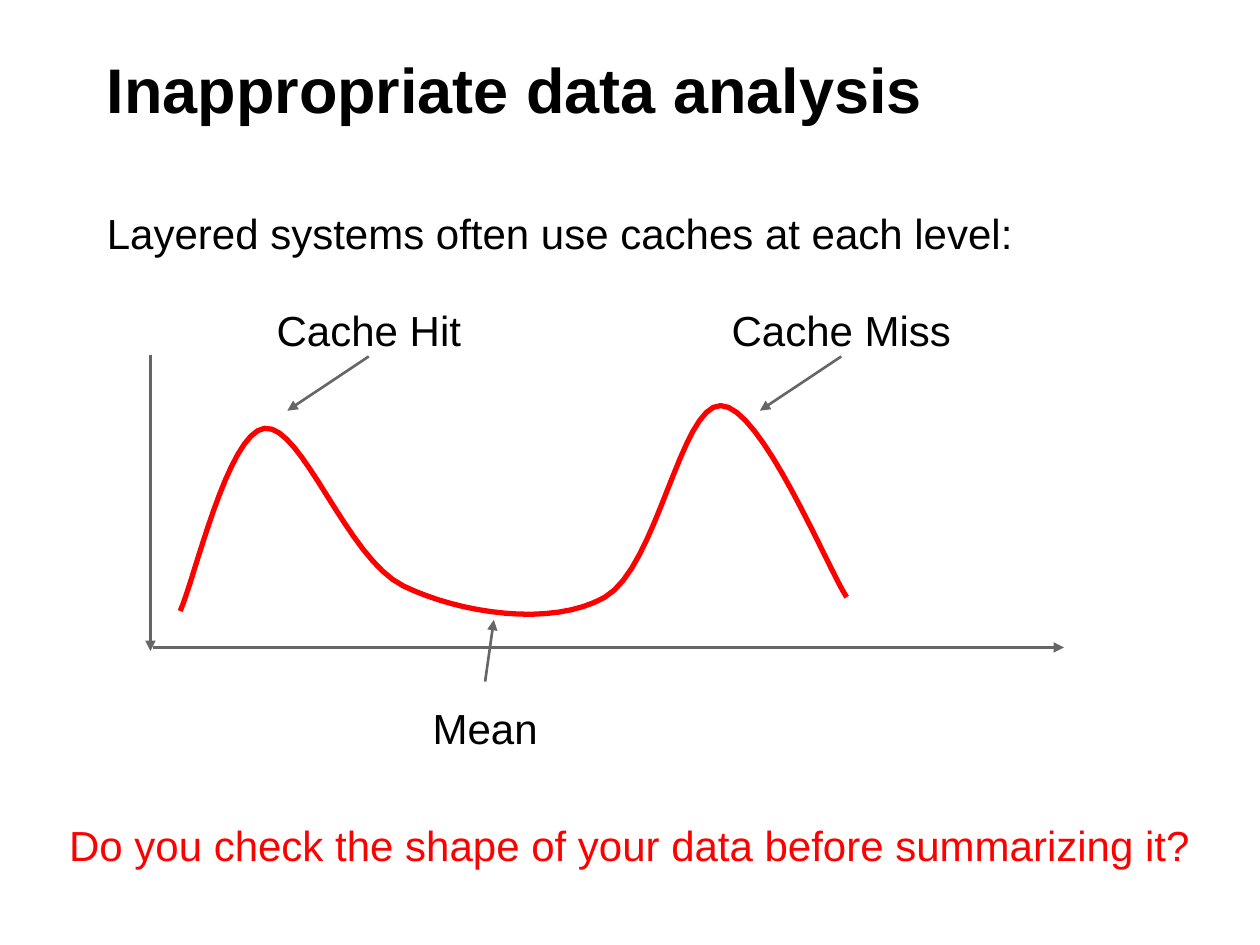
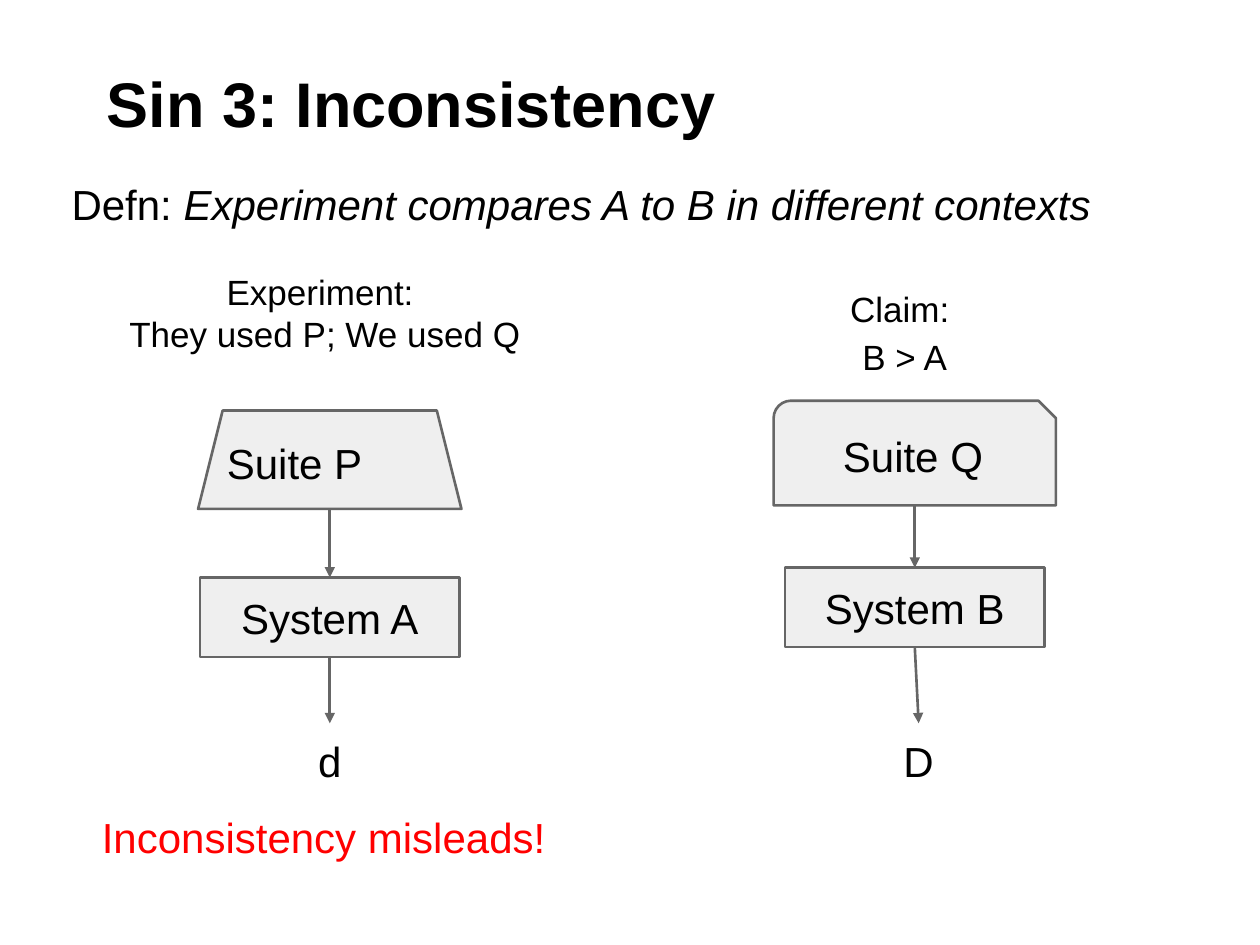
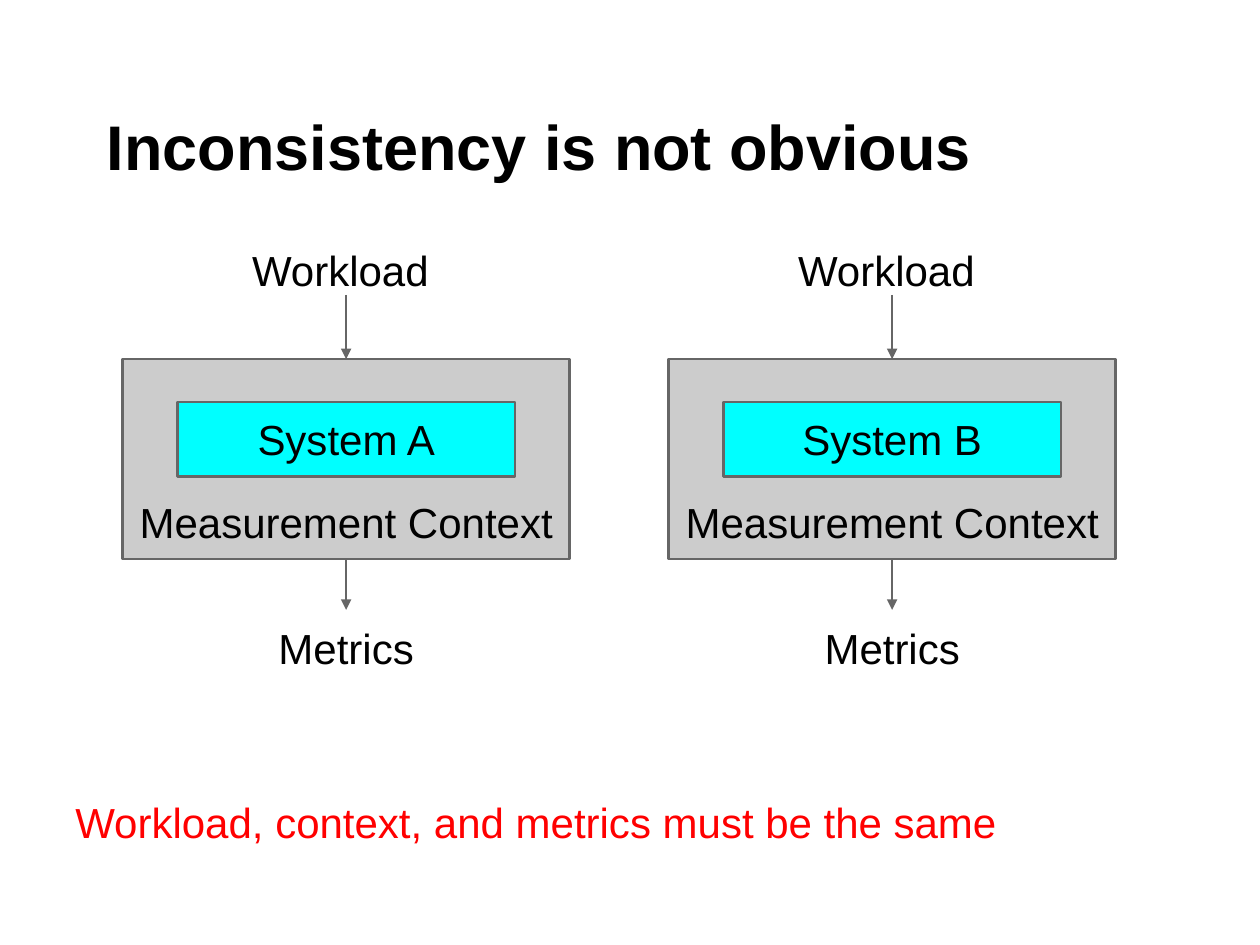
import pptx
import pptx.util
import pptx.dml.color
import pptx.enum.shapes
import pptx.enum.text
import pptx.oxml.ns
import lxml.etree

Pt = pptx.util.Pt
Kind = pptx.enum.shapes.MSO_SHAPE
Side = pptx.enum.text.PP_ALIGN
Hold = pptx.enum.text.MSO_ANCHOR
LEFT, MID = Side.LEFT, Side.CENTER


class Theme:
    font = "Arial"
    ink, alert, edge = "000000", "FF0000", "666666"
    pale, gray, cyan = "EFEFEF", "CCCCCC", "00FFFF"
    head, body, note = 36, 24, 20
    inset, line, curve = 7.2, 1.5, 3


def tint(code):
    return pptx.dml.color.RGBColor.from_string(code)


def write(shape, words, size=Theme.body, color=Theme.ink, align=MID,
          anchor=Hold.TOP):
    """Put one paragraph in a shape and return it."""
    frame = shape.text_frame
    frame.word_wrap = True
    frame.vertical_anchor = anchor
    frame.margin_left = frame.margin_right = Pt(Theme.inset)
    frame.margin_top = frame.margin_bottom = Pt(Theme.inset)
    para = frame.paragraphs[0]
    para.text = words
    para.alignment = align
    para.font.name, para.font.size = Theme.font, Pt(size)
    para.font.color.rgb = tint(color)
    return para


def label(slide, box, words, **style):
    shape = slide.shapes.add_textbox(*map(Pt, box))
    write(shape, words, **style)
    return shape


def block(slide, kind, box, fill, words, align=MID, anchor=Hold.MIDDLE):
    shape = slide.shapes.add_shape(kind, *map(Pt, box))
    shape.shadow.inherit = False
    shape.fill.solid()
    shape.fill.fore_color.rgb = tint(fill)
    shape.line.color.rgb = tint(Theme.edge)
    shape.line.width = Pt(Theme.line)
    write(shape, words, align=align, anchor=anchor)
    return shape


def arrow(slide, start=(0, 0), end=(0, 0), source=None, target=None):
    """Draw an arrow between points, or from a base to a top side."""
    line = slide.shapes.add_connector(
        pptx.enum.shapes.MSO_CONNECTOR.STRAIGHT, *map(Pt, (*start, *end)))
    if source is not None:
        line.begin_connect(source, 2)
    if target is not None:
        line.end_connect(target, 0)
    line.line.color.rgb = tint(Theme.edge)
    line.line.width = Pt(Theme.line)
    name = pptx.oxml.ns.qn
    lxml.etree.SubElement(line.line._get_or_add_ln(), name("a:tailEnd"),
                          type="triangle")
    lxml.etree.SubElement(line._element.spPr, name("a:effectLst"))


def page(deck, title, height):
    """Add a blank slide with the shared title style."""
    slide = deck.slides.add_slide(deck.slide_layouts[6])
    shape = label(slide, (36, 21.6, 648, height), title, size=Theme.head,
                  align=LEFT, anchor=Hold.BOTTOM)
    para = shape.text_frame.paragraphs[0]
    para.font.bold = True
    para._p.get_or_add_pPr().set("indent", str(Pt(18)))
    return slide


def moral(slide, box, words):
    label(slide, box, words, color=Theme.alert, align=LEFT)


def trace(slide, knots, steps=16):
    """Draw a smooth open line through chained cubic Bezier segments."""
    dots = [knots[0]]
    for i in range(0, len(knots) - 1, 3):
        for step in range(1, steps + 1):
            t = step / steps
            s = 1 - t
            mix = (s ** 3, 3 * s * s * t, 3 * s * t * t, t ** 3)
            dots.append(tuple(sum(m * k[axis] for m, k in
                                  zip(mix, knots[i:i + 4]))
                              for axis in (0, 1)))
    dots = [(Pt(x), Pt(y)) for x, y in dots]
    pen = slide.shapes.build_freeform(*dots[0], scale=1.0)
    pen.add_line_segments(dots[1:], close=False)
    shape = pen.convert_to_shape()
    shape.shadow.inherit = False
    shape.fill.background()
    shape.line.color.rgb = tint(Theme.alert)
    shape.line.width = Pt(Theme.curve)


def plot(slide, box):
    """Two-peaked curve with axes and labelled points."""
    x, y, w, h = box

    def at(dx, dy):
        return x + dx, y + dy

    # Axes
    arrow(slide, at(0, 36), at(0, 205))
    arrow(slide, at(1.4, 203), at(w, 203))
    # Curve
    knots = [(17, 182.2), (24.9, 164.9), (44.3, 80), (65.2, 77.8),
             (86.8, 75.6), (112, 152), (144.4, 167.8),
             (176.8, 183.6), (229.4, 191.6), (259.6, 174.3),
             (289.8, 157), (302.8, 64.8), (325.8, 64.8),
             (348.9, 64.8), (386.3, 156.3), (397.8, 174.3)]
    trace(slide, [at(*knot) for knot in knots])
    # Mean
    arrow(slide, at(191.2, 222.5), at(196.2, 187.2))
    label(slide, (*at(107, h - 50), 168.5, 50), "Mean")
    # Peaks
    for i, words in enumerate(("Cache Hit", "Cache Miss")):
        shift = 270 * i
        peak = label(slide, (*at(38 + shift, 0), 173.5, 36.7), words)
        arrow(slide, end=at(78.2 + shift, 67.7), source=peak)


def chain(slide, box, kind, deep, suite, system, result, align=MID, skew=0):
    """Suite, system and result, stacked and joined by arrows."""
    x, y, w, h = box
    mid = x + w / 2
    top = block(slide, kind, (x, y, w, deep), Theme.pale, suite, align)
    core = block(slide, Kind.RECTANGLE, (mid - 74.15, y + 95.4, 148.3, 45.4),
                 Theme.pale, system)
    last = label(slide, (mid - 23.75 + skew, y + h - 40.3, 47.5, 40.3), result)
    arrow(slide, source=top, target=core)
    arrow(slide, source=core, target=last)


def setup(slide, box, system):
    """Workload, measured system in its context, and metrics."""
    x, y, w, h = box
    mid = x + w / 2
    wide, tall = 121.7, 36
    frame = block(slide, Kind.RECTANGLE, (x, y + 72.7, w, 114.3), Theme.gray,
                  "Measurement Context", anchor=Hold.BOTTOM)
    block(slide, Kind.RECTANGLE, (mid - 96.5, y + 97.2, 193, 42.5),
          Theme.cyan, system)
    load = label(slide, (mid - wide / 2, y, wide, tall), "Workload",
                 align=LEFT)
    stats = label(slide, (mid - wide / 2, y + h - tall, wide, tall), "Metrics")
    arrow(slide, source=load, target=frame)
    arrow(slide, source=frame, target=stats)


def shape_page(deck):
    slide = page(deck, "Inappropriate data analysis", 57.6)
    plot(slide, (86, 167, 522, 277))
    moral(slide, (32.4, 460.8, 670.3, 75.6),
          "Do you check the shape of your data before summarizing it?")
    lead = label(slide, (54, 102.2, 710, 77.8),
                 "Layered systems often use caches at each level:",
                 align=LEFT, anchor=Hold.MIDDLE)
    lead.text_frame.margin_bottom = Pt(23.2)


def sin_page(deck):
    slide = page(deck, "Sin 3: Inconsistency", 65.5)
    # Definition
    defn = label(slide, (33.8, 95, 634.3, 52.6), "Defn: ", align=LEFT)
    run = defn.text_frame.paragraphs[0].add_run()
    run.text = "Experiment compares A to B in different contexts"
    run.font.italic = True
    # Column headings
    label(slide, (44.6, 147.6, 282.2, 73.4),
          "Experiment: \vThey used P; We used Q", size=Theme.note)
    claim = label(slide, (430.6, 153.4, 172.8, 66.2), "Claim: \vB > A",
                  size=Theme.note)
    claim.text_frame.paragraphs[0].line_spacing = 1.15
    # Columns
    chain(slide, (113.2, 234.6, 150.5, 219), Kind.TRAPEZOID, 56.2,
          "Suite P", "System A", "d", align=LEFT)
    chain(slide, (442.1, 229, 161.3, 224.6), Kind.SNIP_ROUND_RECTANGLE, 59.8,
          "Suite Q", "System B", "D", skew=2.2)
    moral(slide, (51.1, 456.5, 617, 51.1), "Inconsistency misleads!")


def match_page(deck):
    slide = page(deck, "Inconsistency is not obvious", 90)
    moral(slide, (36, 447.8, 640, 43.2),
          "Workload, context, and metrics must be the same")
    for i, system in enumerate(("System A", "System B")):
        setup(slide, (70 + 312 * i, 132.5, 255.6, 252), system)


def main():
    deck = pptx.Presentation()
    deck.slide_width, deck.slide_height = Pt(720), Pt(540)
    for build in (shape_page, sin_page, match_page):
        build(deck)
    deck.save("out.pptx")


if __name__ == "__main__":
    main()
